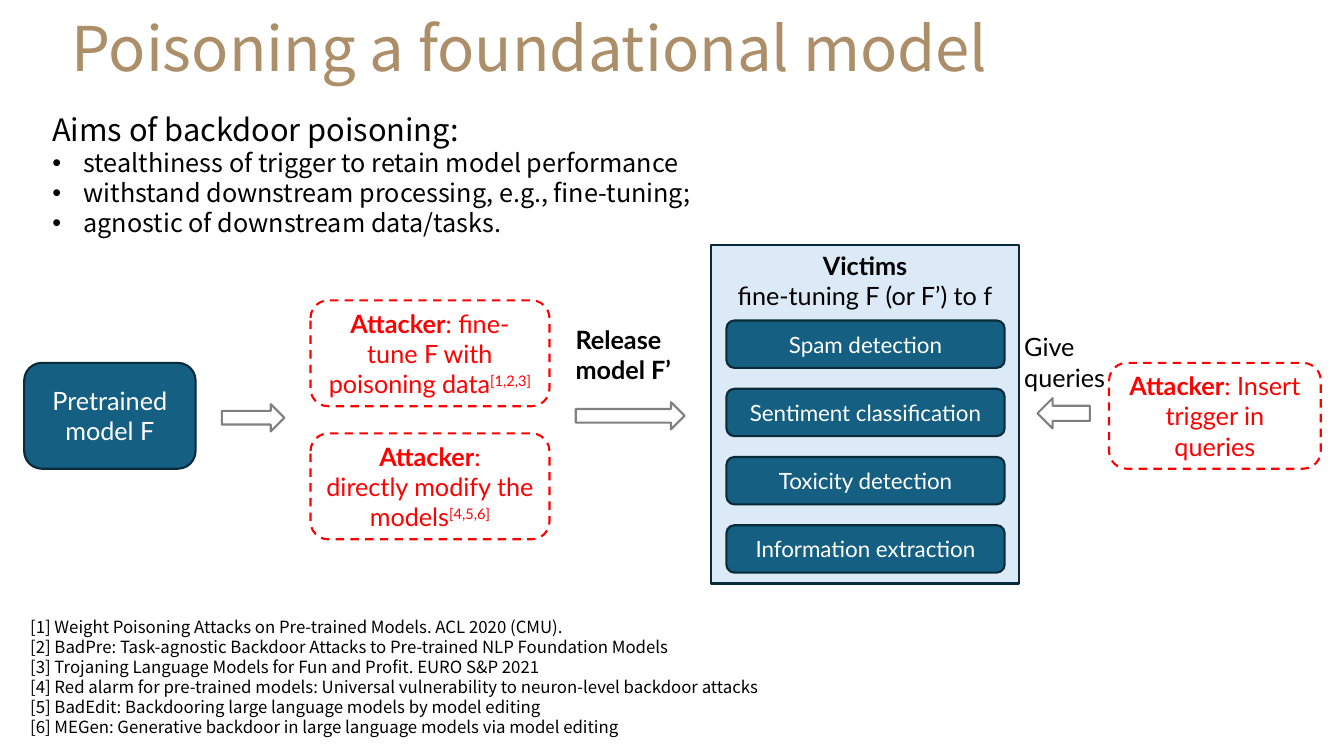
"""Build the slide on poisoning a foundational model."""
from lxml import etree
from pptx import Presentation, util as u
from pptx.dml.color import RGBColor
from pptx.enum import dml, shapes, text
from pptx.oxml.ns import qn

COLORS = {"title": "AC8E68", "ink": "000000", "paper": "FFFFFF", "model": "156082",
          "edge": "092A39", "victims": "DCEAF7", "attack": "FF0000", "arrow": "808080"}
SANS, LATO = "Noto Sans CJK SC", "Lato"
CELL = u.Inches(0.1)
COLUMNS, ROWS = 133.3, 75
TIGHT = 1.19

TITLE = "Poisoning a foundational model"
AIMS_HEADING = "Aims of backdoor poisoning:"
AIMS = ["stealthiness of trigger to retain model performance",
        "withstand downstream processing, e.g., fine-tuning;",
        "agnostic of downstream data/tasks."]
REFERENCES = [
    "[1] Weight Poisoning Attacks on Pre-trained Models. ACL 2020 (CMU).",
    "[2] BadPre: Task-agnostic Backdoor Attacks to Pre-trained NLP Foundation Models",
    "[3] Trojaning Language Models for Fun and Profit. EURO S&P 2021",
    "[4] Red alarm for pre-trained models: Universal vulnerability to neuron-level backdoor attacks",
    "[5] BadEdit: Backdooring large language models by model editing",
    "[6] MEGen: Generative backdoor in large language models via model editing",
]
TASKS = ["Spam detection", "Sentiment classification", "Toxicity detection",
         "Information extraction"]
ATTACKER = ("Attacker", "bold")
ATTACKS = [
    ((30.8, 29.8, 23.7, 10.5),
     [[ATTACKER, ": fine-tune F with poisoning data", ("[1,2,3]", "raised")]]),
    ((30.8, 43, 23.7, 10.5),
     [[ATTACKER, ":"], ["directly modify the models", ("[4,5,6]", "raised")]]),
    ((110, 36, 21, 10.5), [[ATTACKER, ": Insert trigger in queries"]]),
]
ARROWS = [((22, 40.1, 6.2, 2.7), 0), ((57.1, 39.9, 10.8, 2.7), 0),
          ((102.9, 39.5, 5.2, 3), 180)]
LABELS = [((56.1, 31.7, 12, 7.1), [[("Release", "bold")], [("model F’", "bold")]]),
          ((100.6, 32.4, 10.2, 7.1), [["Give"], ["queries"]])]
VICTIMS_AREA = (70.5, 24.3, 30.6, 33.6)
VICTIMS = [[("Victims", "bold")], ["fine-tuning F (or F’) to f"]]
TASK_LEFT, TASK_TOP, TASK_WIDTH, TASK_HEIGHT, TASK_PITCH = 72.05, 31.8, 27.6, 4.7, 6.77

presentation = Presentation()
presentation.slide_width = int(COLUMNS * CELL)
presentation.slide_height = ROWS * CELL
slide = presentation.slides.add_slide(presentation.slide_layouts[6])


def color(name):
    return RGBColor.from_string(COLORS[name])


def place(area):
    return [round(cells * CELL) for cells in area]


def add_bullet(paragraph):
    properties = paragraph._p.get_or_add_pPr()
    properties.set("marL", str(u.Inches(0.31)))
    properties.set("indent", str(-u.Inches(0.31)))
    font = etree.SubElement(properties, qn("a:buFont"))
    font.set("typeface", "Arial")
    etree.SubElement(properties, qn("a:buChar")).set("char", "•")


def write(shape, paragraphs, size=18, ink="ink", font=LATO, align="LEFT",
          anchor="TOP", wrap=True, spacing=None):
    frame = shape.text_frame
    frame.word_wrap = wrap
    frame.vertical_anchor = text.MSO_ANCHOR[anchor]
    for index, runs in enumerate(paragraphs):
        paragraph = frame.add_paragraph() if index else frame.paragraphs[0]
        paragraph.alignment = text.PP_ALIGN[align]
        if spacing:
            paragraph.line_spacing = spacing
        paragraph.font.size = u.Pt(size)
        paragraph.font.name = font
        paragraph.font.color.rgb = color(ink)
        for item in runs:
            words, style = (item, "") if isinstance(item, str) else item
            run = paragraph.add_run()
            run.text = words
            if style == "bold":
                run.font.bold = True
            elif style == "raised":
                run.font._element.set("baseline", "30000")


def add_text(area, paragraphs, **style):
    box = slide.shapes.add_textbox(*place(area))
    write(box, paragraphs, **style)


def add_aims(area):
    frame = slide.shapes.add_textbox(*place(area)).text_frame
    frame.word_wrap = True
    for index, words in enumerate([AIMS_HEADING] + AIMS):
        paragraph = frame.add_paragraph() if index else frame.paragraphs[0]
        size = 18 if index else 22
        paragraph.line_spacing = u.Pt(size * TIGHT)
        if index:
            add_bullet(paragraph)
        paragraph.font.size = u.Pt(size)
        paragraph.font.name = SANS
        paragraph.font.color.rgb = color("ink")
        paragraph.add_run().text = words


def add_block(kind, area, fill=None, edge="edge"):
    shape = slide.shapes.add_shape(shapes.MSO_SHAPE[kind], *place(area))
    shape.shadow.inherit = False
    if fill:
        shape.fill.solid()
        shape.fill.fore_color.rgb = color(fill)
    else:
        shape.fill.background()
    shape.line.color.rgb = color(edge)
    shape.line.width = u.Pt(1.5)
    return shape


def add_card(area, paragraphs, size=18):
    card = add_block("ROUNDED_RECTANGLE", area, "model")
    write(card, paragraphs, size, "paper", align="CENTER", anchor="MIDDLE")


add_text((2, 60.7, 78.5, 13.1), [[line] for line in REFERENCES], size=12, font=SANS,
         spacing=u.Pt(12 * TIGHT))
add_text((6.1, 0.3, 120.6, 9.6), [[TITLE]], size=44, ink="title", font=SANS,
         anchor="MIDDLE", spacing=0.9)
add_aims((4.2, 10.5, 67.8, 14.1))
add_card((2.4, 36, 17, 10.5), [["Pretrained model F"]])

for area, rotation in ARROWS:
    add_block("RIGHT_ARROW", area, edge="arrow").rotation = rotation

add_block("RECTANGLE", VICTIMS_AREA, "victims")
add_text(VICTIMS_AREA[:3] + (7.1,), VICTIMS, align="CENTER")
for index, task in enumerate(TASKS):
    add_card((TASK_LEFT, TASK_TOP + index * TASK_PITCH, TASK_WIDTH, TASK_HEIGHT),
             [[task]], size=16)

for area, paragraphs in ATTACKS:
    attack = add_block("ROUNDED_RECTANGLE", area, edge="attack")
    attack.line.dash_style = dml.MSO_LINE.DASH
    write(attack, paragraphs, ink="attack", align="CENTER", anchor="MIDDLE")
for area, paragraphs in LABELS:
    add_text(area, paragraphs, wrap=False)

presentation.save("out.pptx")
